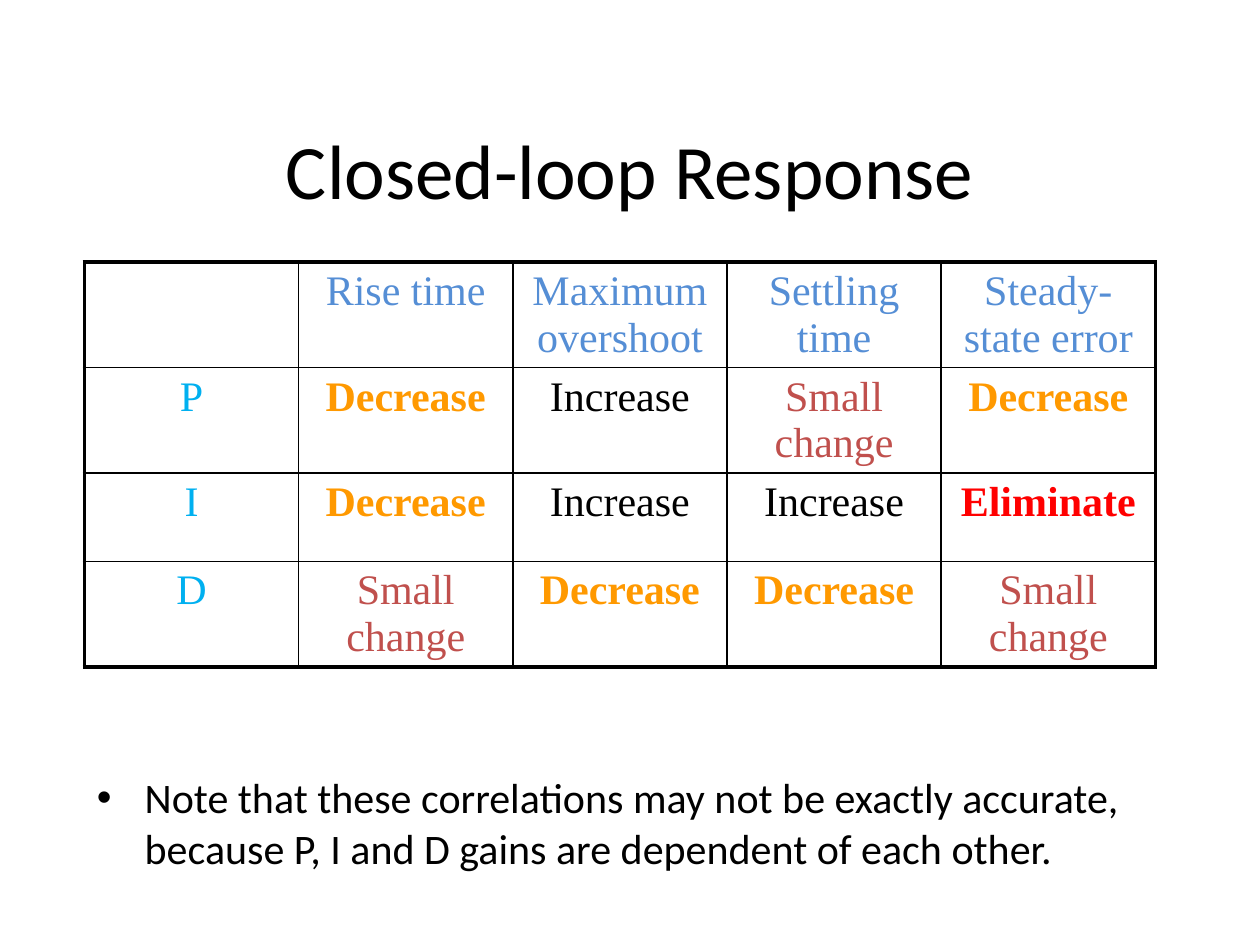
from dataclasses import dataclass

from lxml import etree
from pptx import Presentation
from pptx.dml.color import RGBColor
from pptx.enum.text import MSO_ANCHOR, PP_ALIGN
from pptx.oxml.ns import qn
from pptx.util import Inches, Pt

CENTER = PP_ALIGN.CENTER
LEFT = PP_ALIGN.LEFT
MIDDLE = MSO_ANCHOR.MIDDLE
TOP = MSO_ANCHOR.TOP
TITLE_ONLY = 5

WIDTH, HEIGHT = Inches(10), Inches(7.5)
COLORS = {
    "black": "000000",
    "heading": "558ED5",
    "gain": "00B0F0",
    "decrease": "FF9900",
    "small": "C0504D",
    "eliminate": "FF0000",
}
BODY_FONT, TABLE_FONT = "Calibri", "Times New Roman"
OUTER_LINE, INNER_LINE = Pt(2.25), Pt(1)
COLUMN_WIDTH = Inches(1.7)
ROW_HEIGHTS = [Inches(h) for h in (0.54, 0.61, 0.7, 0.61)]


@dataclass(frozen=True)
class Entry:
    text: str
    color: str
    bold: bool = False


DECREASE = Entry("Decrease", "decrease", True)
INCREASE = Entry("Increase", "black")
SMALL_CHANGE = Entry("Small change", "small")
ELIMINATE = Entry("Eliminate", "eliminate", True)
HEADINGS = ["", "Rise time", "Maximum overshoot", "Settling time", "Steady-state error"]
RESPONSES = [
    [Entry(heading, "heading") for heading in HEADINGS],
    [Entry("P", "gain"), DECREASE, INCREASE, SMALL_CHANGE, DECREASE],
    [Entry("I", "gain"), DECREASE, INCREASE, INCREASE, ELIMINATE],
    [Entry("D", "gain"), SMALL_CHANGE, DECREASE, DECREASE, SMALL_CHANGE],
]


def add_text(frame, entry: Entry, font: str, size: int, align):
    """Put one run in the first paragraph of a text frame."""
    frame.word_wrap = True
    paragraph = frame.paragraphs[0]
    paragraph.alignment = align
    run = paragraph.add_run()
    run.text = entry.text
    run.font.name = font
    run.font.size = Pt(size)
    run.font.bold = entry.bold
    run.font.color.rgb = RGBColor.from_string(COLORS[entry.color])
    return paragraph


def place(shape, left: float, top: float, width: float, height: float) -> None:
    """Place a shape by shares of the slide's size."""
    shape.left, shape.top = int(WIDTH * left), int(HEIGHT * top)
    shape.width, shape.height = int(WIDTH * width), int(HEIGHT * height)


def set_borders(cell, outer: dict[str, bool]) -> None:
    """Draw the four borders, heavier on the table's outer edge."""
    properties = cell._tc.get_or_add_tcPr()
    for index, (side, is_outer) in enumerate(outer.items()):
        line = etree.Element(qn(f"a:ln{side}"), w=str(OUTER_LINE if is_outer else INNER_LINE))
        fill = etree.SubElement(line, qn("a:solidFill"))
        etree.SubElement(fill, qn("a:srgbClr"), val=COLORS["black"])
        properties.insert(index, line)


def add_response_table(slide, rows: list[list[Entry]]) -> None:
    row_count, column_count = len(rows), len(rows[0])
    table = slide.shapes.add_table(
        row_count, column_count, Inches(0.67), Inches(2.08),
        COLUMN_WIDTH * column_count, sum(ROW_HEIGHTS),
    ).table
    table.first_row = table.horz_banding = False
    for column in table.columns:
        column.width = COLUMN_WIDTH
    for r, entries in enumerate(rows):
        table.rows[r].height = ROW_HEIGHTS[r]
        for c, entry in enumerate(entries):
            cell = table.cell(r, c)
            cell.fill.background()
            set_borders(cell, {
                "L": c == 0, "R": c == column_count - 1,
                "T": r == 0, "B": r == row_count - 1,
            })
            if entry.text:
                add_text(cell.text_frame, entry, TABLE_FONT, 24, CENTER)


def add_note(slide, text: str) -> None:
    box = slide.shapes.add_textbox(0, 0, 0, 0)
    place(box, 0.067, 0.81, 0.858, 0.123)
    box.text_frame.vertical_anchor = TOP
    paragraph = add_text(box.text_frame, Entry(text, "black"), BODY_FONT, 24, LEFT)
    properties = paragraph._p.get_or_add_pPr()
    indent = Inches(0.38)
    properties.set("marL", str(indent))
    properties.set("indent", str(-indent))
    etree.SubElement(properties, qn("a:buFont"), typeface="Arial")
    etree.SubElement(properties, qn("a:buChar"), char="•")


def main() -> None:
    deck = Presentation()
    deck.slide_width, deck.slide_height = WIDTH, HEIGHT
    slide = deck.slides.add_slide(deck.slide_layouts[TITLE_ONLY])

    # Title
    title = slide.shapes.title
    place(title, 0.075, 0.123, 0.85, 0.11)
    title.text_frame.vertical_anchor = MIDDLE
    add_text(title.text_frame, Entry("Closed-loop Response", "black"), BODY_FONT, 44, CENTER)

    # Effect of each gain
    add_response_table(slide, RESPONSES)

    # Caveat
    add_note(slide, "Note that these correlations may not be exactly accurate, "
                    "because P, I and D gains are dependent of each other.")

    deck.save("out.pptx")


if __name__ == "__main__":
    main()
